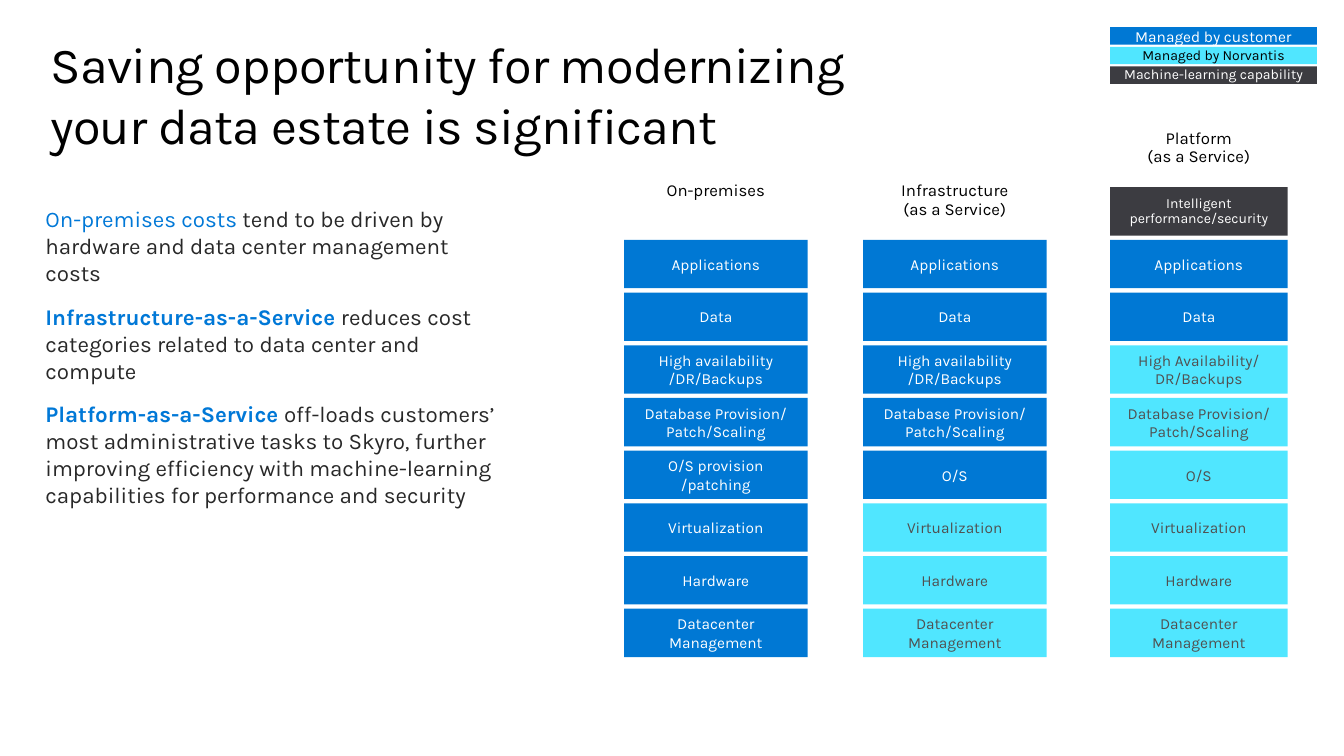
from lxml.etree import SubElement
from pptx import Presentation
from pptx.dml.color import RGBColor
from pptx.enum.shapes import MSO_SHAPE
from pptx.enum.text import MSO_ANCHOR, MSO_AUTO_SIZE, PP_ALIGN
from pptx.oxml.ns import qn
from pptx.util import Inches, Pt

BLUE = RGBColor(0x00, 0x78, 0xD4)
LEAD_BLUE = RGBColor(0x00, 0x78, 0xD7)
CYAN = RGBColor(0x50, 0xE6, 0xFF)
CHARCOAL = RGBColor(0x3C, 0x3C, 0x41)
GRAY = RGBColor(0x50, 0x50, 0x50)
INK = RGBColor(0x28, 0x28, 0x28)
BLACK = RGBColor(0, 0, 0)
WHITE = RGBColor(0xFF, 0xFF, 0xFF)

# Lengths below are percentages of the slide's width (x) and height (y).
FIRST_ROW, ROW_STEP, BLOCK_HEIGHT = 31.73, 6.97, 6.4
HEADER_RISE, HEADER_WIDTH = 8.93, 11.4
PLATFORM_LEFT, LEGEND_TOP, LEGEND_STEP = 82.6, 3.6, 2.6

WIDE_INSETS = (0.16, 0.1)
NARROW_INSETS = (0.1, 0.08)

# Header lines, left, width, rows managed by the customer, block labels
STACKS = [
    (["On-premises"], 46.44, 13.65, 8,
     ["Applications", "Data", "High availability /DR/Backups",
      "Database Provision/ Patch/Scaling", "O/S provision /patching",
      "Virtualization", "Hardware", "Datacenter Management"]),
    (["Infrastructure", "(as a Service)"], 64.22, 13.65, 5,
     ["Applications", "Data", "High availability /DR/Backups",
      "Database Provision/ Patch/Scaling", "O/S",
      "Virtualization", "Hardware", "Datacenter Management"]),
    (["Platform", "(as a Service)"], PLATFORM_LEFT, 13.2, 2,
     ["Applications", "Data", "High Availability/ DR/Backups",
      "Database Provision/ Patch/Scaling", "O/S",
      "Virtualization", "Hardware", "Datacenter Management"]),
]

# Label, fill, text colour, size
LEGEND = [
    ("Managed by customer", BLUE, WHITE, 11),
    ("Managed by Norvantis", CYAN, BLACK, 10),
    ("Machine-learning capability", CHARCOAL, WHITE, 10),
]

# Lead words, whether they are bold, rest of the paragraph
POINTS = [
    ("On-premises costs ", False,
     "tend to be driven by hardware and data center management costs"),
    ("Infrastructure-as-a-Service ", True,
     "reduces cost categories related to data center and compute"),
    ("Platform-as-a-Service ", True,
     "off-loads customers’ most administrative tasks to Skyro, further "
     "improving efficiency with machine-learning capabilities for "
     "performance and security"),
]


class SlideBuilder:
    font_name = "Karla"

    def __init__(self, presentation):
        self.width = presentation.slide_width
        self.height = presentation.slide_height
        self.slide = presentation.slides.add_slide(presentation.slide_layouts[1])

    def area(self, left, top, width, height):
        """Turn percentages of the slide into lengths."""
        return [int(share * side / 100) for share, side in
                zip((left, top, width, height), (self.width, self.height) * 2)]

    def style_run(self, run, size, color, bold=False):
        run.font.name = self.font_name
        run.font.size = Pt(size)
        run.font.color.rgb = color
        run.font.bold = bold

    def style_frame(self, text_frame, insets, anchor=MSO_ANCHOR.TOP):
        text_frame.word_wrap = True
        text_frame.auto_size = MSO_AUTO_SIZE.NONE
        text_frame.vertical_anchor = anchor
        text_frame.margin_left = text_frame.margin_right = Inches(insets[0])
        text_frame.margin_top = text_frame.margin_bottom = Inches(insets[1])

    def place(self, placeholder, area):
        (placeholder.left, placeholder.top,
         placeholder.width, placeholder.height) = self.area(*area)

    def title(self, text, area):
        title = self.slide.shapes.title
        self.place(title, area)
        self.style_frame(title.text_frame, (0, 0))
        title.text_frame.text = text
        paragraph = title.text_frame.paragraphs[0]
        paragraph.alignment = PP_ALIGN.LEFT
        for run in paragraph.runs:
            self.style_run(run, 36, BLACK)
            run.font._element.set("spc", "-50")

    def points(self, points, area):
        body = self.slide.placeholders[1]
        self.place(body, area)
        text_frame = body.text_frame
        self.style_frame(text_frame, (0.1, 0.05))
        for index, (lead, bold, rest) in enumerate(points):
            paragraph = text_frame.add_paragraph() if index else text_frame.paragraphs[0]
            paragraph.space_before = Pt(12 if index else 0)
            properties = paragraph._p.get_or_add_pPr()
            properties.set("marL", "0")
            properties.set("indent", "0")
            SubElement(properties, qn("a:buNone"))
            for text, color, weight in ((lead, LEAD_BLUE, bold), (rest, INK, False)):
                run = paragraph.add_run()
                run.text = text
                self.style_run(run, 16, color, weight)

    def header(self, lines, area):
        text_frame = self.slide.shapes.add_textbox(*self.area(*area)).text_frame
        self.style_frame(text_frame, WIDE_INSETS)
        text_frame.text = "\n".join(lines)
        for paragraph in text_frame.paragraphs:
            paragraph.alignment = PP_ALIGN.CENTER
            paragraph.line_spacing = 0.9
            self.style_run(paragraph.runs[0], 12, BLACK)

    def block(self, text, area, fill, color, size=11, shapes=None):
        """Add a filled label; the 10-point ones are set tighter."""
        shapes = shapes or self.slide.shapes
        shape = shapes.add_shape(MSO_SHAPE.RECTANGLE, *self.area(*area))
        shape.shadow.inherit = False
        shape.fill.solid()
        shape.fill.fore_color.rgb = fill
        shape.line.fill.background()
        tight = size == 10
        self.style_frame(shape.text_frame, NARROW_INSETS if tight else WIDE_INSETS,
                         MSO_ANCHOR.MIDDLE)
        shape.text_frame.text = text
        paragraph = shape.text_frame.paragraphs[0]
        paragraph.alignment = PP_ALIGN.CENTER
        if tight:
            paragraph.line_spacing = 0.9
            paragraph.space_after = Pt(6)
        self.style_run(paragraph.runs[0], size, color)

    def legend(self, entries):
        group = self.slide.shapes.add_group_shape()
        for index, (text, fill, color, size) in enumerate(entries):
            area = (PLATFORM_LEFT, LEGEND_TOP + index * LEGEND_STEP, 15.38, 2.3)
            self.block(text, area, fill, color, size, group.shapes)


def main():
    presentation = Presentation()
    presentation.slide_width = Inches(13.33)
    presentation.slide_height = Inches(7.5)
    builder = SlideBuilder(presentation)

    builder.title("Saving opportunity for modernizing \vyour data estate is significant",
                  (3.75, 4.4, 92.72, 11.87))
    builder.points(POINTS, (2.63, 26.53, 35.48, 38.13))

    intelligent_row = FIRST_ROW - ROW_STEP
    for lines, left, width, customer_rows, labels in STACKS:
        stack_top = intelligent_row if left == PLATFORM_LEFT else FIRST_ROW
        builder.header(lines, (left + (width - HEADER_WIDTH) / 2, stack_top - HEADER_RISE,
                               HEADER_WIDTH, 2.53 * (len(lines) + 1)))
        for row, label in enumerate(labels):
            fill, color = (BLUE, WHITE) if row < customer_rows else (CYAN, GRAY)
            builder.block(label, (left, FIRST_ROW + row * ROW_STEP, width, BLOCK_HEIGHT),
                          fill, color)
    builder.block("Intelligent performance/security",
                  (PLATFORM_LEFT, intelligent_row, 13.2, BLOCK_HEIGHT),
                  CHARCOAL, WHITE, 10)
    builder.legend(LEGEND)

    presentation.save("out.pptx")


if __name__ == "__main__":
    main()
